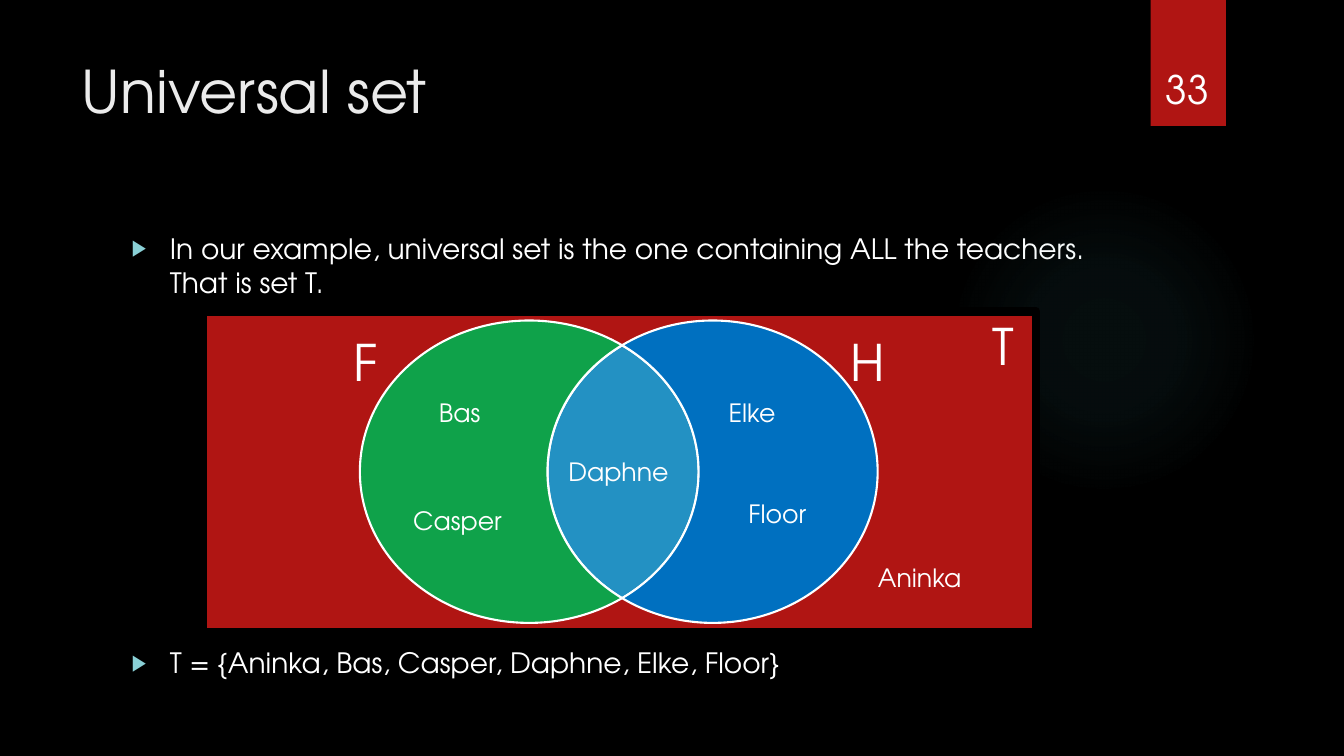
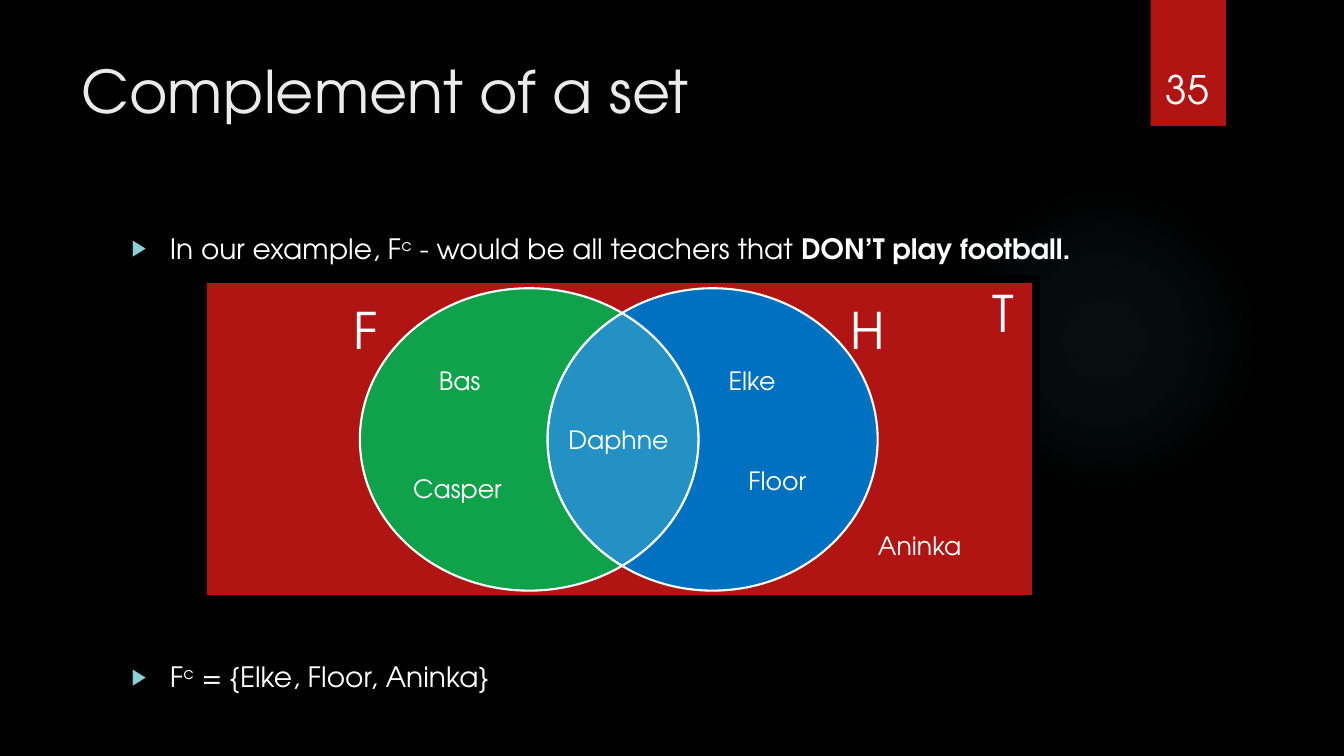
from dataclasses import dataclass
from math import acos, ceil, cos, floor, pi, sin, tan

from lxml.etree import Element, SubElement
from pptx import Presentation
from pptx.dml.color import RGBColor
from pptx.enum.shapes import MSO_SHAPE as Shape
from pptx.enum.text import MSO_ANCHOR as Anchor, MSO_AUTO_SIZE as AutoSize, PP_ALIGN as Align
from pptx.oxml import parse_xml
from pptx.oxml.ns import nsdecls, qn
from pptx.util import Emu, Inches, Pt

# Shared style
FONT = "TeX Gyre Adventor"
BLACK, WHITE, TITLE_GREY = "000000", "FFFFFF", "EBEBEB"
RED, GREEN, BLUE, LENS_BLUE = "B01513", "00B050", "0070C0", "00B0F0"
BULLET, GLOW = "8AD0D6", "50B9C1"
WIDTH, HEIGHT = Inches(13.333), Inches(7.5)
BODY_LINE, BODY_GAP = 24, 10  # points


@dataclass(frozen=True)
class Area:
    """A rectangle in percent of the slide's width and height."""
    left: float
    top: float
    width: float
    height: float

    def emu(self) -> tuple:
        return across(self.left), down(self.top), across(self.width), down(self.height)


@dataclass(frozen=True)
class Label:
    """A name in the diagram; top is measured from the frame's top."""
    text: str
    left: float
    top: float
    width: float
    size: int = 18


@dataclass(frozen=True)
class Oval:
    center: float
    radius: float


@dataclass(frozen=True)
class Span:
    text: str
    bold: bool = False
    raised: bool = False


@dataclass(frozen=True)
class Lesson:
    title: str
    number: int
    frame_top: float
    lines_between: int
    bullets: tuple


GLOW_AREA = Area(70.58, 24.4, 23.1, 41.07)
BAND_AREA = Area(85.62, 0, 5.6, 16.67)
NUMBER_AREA = Area(84.9, 4.27, 6.9, 11.2)
TITLE_AREA = Area(5.32, 6.6, 77.18, 20.4)
BODY_AREA = Area(9.04, 29.95, 73.35, 61.2)

FRAME_LEFT, FRAME_WIDTH, FRAME_HEIGHT = 15.08, 62.02, 42.4
FOOTBALL, HOCKEY = Oval(39.38, 12.6), Oval(53.02, 12.28)
OVAL_RADIUS_DOWN = 20

LABELS = (
    Label("Bas", 31.92, 10.75, 4.65),
    Label("Casper", 30, 25, 8.17),
    Label("Daphne", 41.55, 18.53, 9.08),
    Label("Elke", 53.48, 10.75, 5.1),
    Label("Floor", 54.95, 24, 5.85),
    Label("F", 25.58, 1.93, 3.38, 36),
    Label("H", 62.55, 1.93, 4.12, 36),
    Label("Aninka", 64.58, 32.53, 7.88),
    Label("T", 73.12, -0.2, 3.15, 36),
)

LESSONS = (
    Lesson("Universal set", 33, 41.2, 7, (
        (Span("In our example, universal set is the one containing ALL the teachers. "
              "That is set T."),),
        (Span("T = {Aninka, Bas, Casper, Daphne, Elke, Floor}"),),
    )),
    Lesson("Complement of a set", 35, 36.93, 8, (
        (Span("In our example, F"), Span("c", raised=True),
         Span(" - would be all teachers that "), Span("DON’T play football.", bold=True)),
        (Span("F"), Span("c", raised=True), Span(" = {Elke, Floor, Aninka}")),
    )),
)


# Helpers
def across(percent: float) -> Emu:
    return Emu(round(WIDTH * percent / 100))


def down(percent: float) -> Emu:
    return Emu(round(HEIGHT * percent / 100))


def color(value: str) -> RGBColor:
    return RGBColor.from_string(value)


def paint(shape, fill: str, alpha: int = 100, line: str = "", weight: float = 0) -> None:
    shape.shadow.inherit = False
    shape.fill.solid()
    shape.fill.fore_color.rgb = color(fill)
    if alpha < 100:
        tint = shape.fill._xPr.find(qn("a:solidFill"))[0]
        SubElement(tint, qn("a:alpha")).set("val", str(alpha * 1000))
    if line:
        shape.line.color.rgb = color(line)
        shape.line.width = Pt(weight)
    else:
        shape.line.fill.background()


def style(para, size: int, value: str = WHITE) -> None:
    para.font.name, para.font.size = FONT, Pt(size)
    para.font.color.rgb = color(value)


def place(box, area: Area) -> None:
    box.left, box.top, box.width, box.height = area.emu()
    box.text_frame.auto_size = AutoSize.NONE
    box.text_frame.vertical_anchor = Anchor.TOP


def add_text(page, area: Area, text: str, size: int):
    box = page.shapes.add_textbox(*area.emu())
    box.text_frame.text = text
    style(box.text_frame.paragraphs[0], size)
    return box


def add_bullet(para) -> None:
    props = para._p.get_or_add_pPr()
    props.set("marL", str(Inches(0.38)))
    props.set("indent", str(-Inches(0.38)))
    SubElement(SubElement(props, qn("a:buClr")), qn("a:srgbClr")).set("val", BULLET)
    SubElement(props, qn("a:buSzPct")).set("val", "80000")
    SubElement(props, qn("a:buChar")).set("char", "▶")


# Parts of a slide
def draw_backdrop(page, number: int) -> None:
    glow = page.shapes.add_shape(Shape.OVAL, *GLOW_AREA.emu())
    paint(glow, GLOW)
    stops = "".join(
        f'<a:gs pos="{at * 1000}"><a:srgbClr val="{GLOW}">'
        f'<a:alpha val="{alpha * 1000}"/></a:srgbClr></a:gs>'
        for at, alpha in ((0, 7), (36, 6), (69, 0))
    )
    solid = glow._element.spPr.find(qn("a:solidFill"))
    solid.getparent().replace(solid, parse_xml(
        f'<a:gradFill {nsdecls("a")}><a:gsLst>{stops}</a:gsLst><a:path path="circle">'
        '<a:fillToRect l="50000" t="50000" r="50000" b="50000"/></a:path></a:gradFill>'))

    band = page.shapes.add_shape(Shape.RECTANGLE, *BAND_AREA.emu())
    paint(band, RED)
    box = add_text(page, NUMBER_AREA, str(number), 28)
    box.text_frame.word_wrap = True
    box.text_frame.vertical_anchor = Anchor.BOTTOM
    box.text_frame.paragraphs[0].alignment = Align.CENTER


def write_title(page, text: str) -> None:
    title = page.shapes.title
    place(title, TITLE_AREA)
    title.text_frame.text = text
    para = title.text_frame.paragraphs[0]
    para.alignment = Align.LEFT
    style(para, 42, TITLE_GREY)


def write_body(page, lesson: Lesson) -> None:
    body = page.placeholders[1]
    place(body, BODY_AREA)
    frame = body.text_frame
    # The second bullet stands below the diagram, a number of lines further down.
    below = (lesson.lines_between + 1) * (BODY_LINE + BODY_GAP) - BODY_LINE
    for index, (spans, gap) in enumerate(zip(lesson.bullets, (BODY_GAP, below))):
        para = frame.add_paragraph() if index else frame.paragraphs[0]
        add_bullet(para)
        para.space_before = Pt(gap)
        style(para, 20)
        for span in spans:
            run = para.add_run()
            run.text = span.text
            if span.bold:
                run.font.bold = True
            if span.raised:
                run._r.get_or_add_rPr().set("baseline", "30000")


def arc(oval: Oval, middle: float, start: float, end: float) -> list:
    """Bezier points of an arc, divided where it crosses the oval's axes."""
    quarter = pi / 2
    axes = range(ceil(start / quarter), floor(end / quarter) + 1)
    angles = [start, *(axis * quarter for axis in axes), end]

    def point(angle: float, pull: float = 0) -> tuple:
        return (across(oval.center + oval.radius * (cos(angle) - pull * sin(angle))),
                down(middle + OVAL_RADIUS_DOWN * (sin(angle) + pull * cos(angle))))

    points = [point(start)]
    for begin, finish in zip(angles, angles[1:]):
        pull = 4 / 3 * tan((finish - begin) / 4)
        points += [point(begin, pull), point(finish, -pull), point(finish)]
    return points


def draw_curve(page, points: list):
    """A closed freeform whose points, three by three, become Bezier curves."""
    builder = page.shapes.build_freeform(*points[0])
    builder.add_line_segments(points[1:], close=True)
    shape = builder.convert_to_shape()
    segments = list(shape._element.iter(qn("a:lnTo")))
    for first, second, third in zip(*[iter(segments)] * 3):
        curve = Element(qn("a:cubicBezTo"))
        first.addprevious(curve)
        for segment in (first, second, third):
            curve.append(segment[0])
            segment.getparent().remove(segment)
    return shape


def draw_diagram(page, top: float) -> None:
    frame = page.shapes.add_shape(
        Shape.RECTANGLE, *Area(FRAME_LEFT, top, FRAME_WIDTH, FRAME_HEIGHT).emu())
    paint(frame, RED, line=BLACK, weight=6)

    # Equal heights make both ovals cross at the same angle.
    middle = top + FRAME_HEIGHT / 2
    cross = acos((HOCKEY.center - FOOTBALL.center) / (HOCKEY.radius + FOOTBALL.radius))
    football_inner = arc(FOOTBALL, middle, -cross, cross)
    football_outer = arc(FOOTBALL, middle, cross, 2 * pi - cross)
    hockey_inner = arc(HOCKEY, middle, pi - cross, pi + cross)
    hockey_outer = arc(HOCKEY, middle, cross - pi, pi - cross)
    regions = (
        (football_inner + hockey_inner[1:], LENS_BLUE, 80),
        (football_outer + hockey_inner[-2::-1], GREEN, 91),
        (hockey_outer + football_inner[-2::-1], BLUE, 100),
    )
    for points, fill, alpha in regions:
        paint(draw_curve(page, points), fill, alpha, WHITE, 1.5)

    for label in LABELS:
        height = 9.47 if label.size > 18 else 5.33
        area = Area(label.left, top + label.top, label.width, height)
        box = add_text(page, area, label.text, label.size)
        box.text_frame.word_wrap = False
        box.text_frame.auto_size = AutoSize.SHAPE_TO_FIT_TEXT


def main() -> None:
    deck = Presentation()
    deck.slide_width, deck.slide_height = WIDTH, HEIGHT
    backdrop = deck.slide_master.background.fill
    backdrop.solid()
    backdrop.fore_color.rgb = color(BLACK)
    for lesson in LESSONS:
        page = deck.slides.add_slide(deck.slide_layouts[1])
        draw_backdrop(page, lesson.number)
        write_title(page, lesson.title)
        write_body(page, lesson)
        draw_diagram(page, lesson.frame_top)
    deck.save("out.pptx")


if __name__ == "__main__":
    main()
